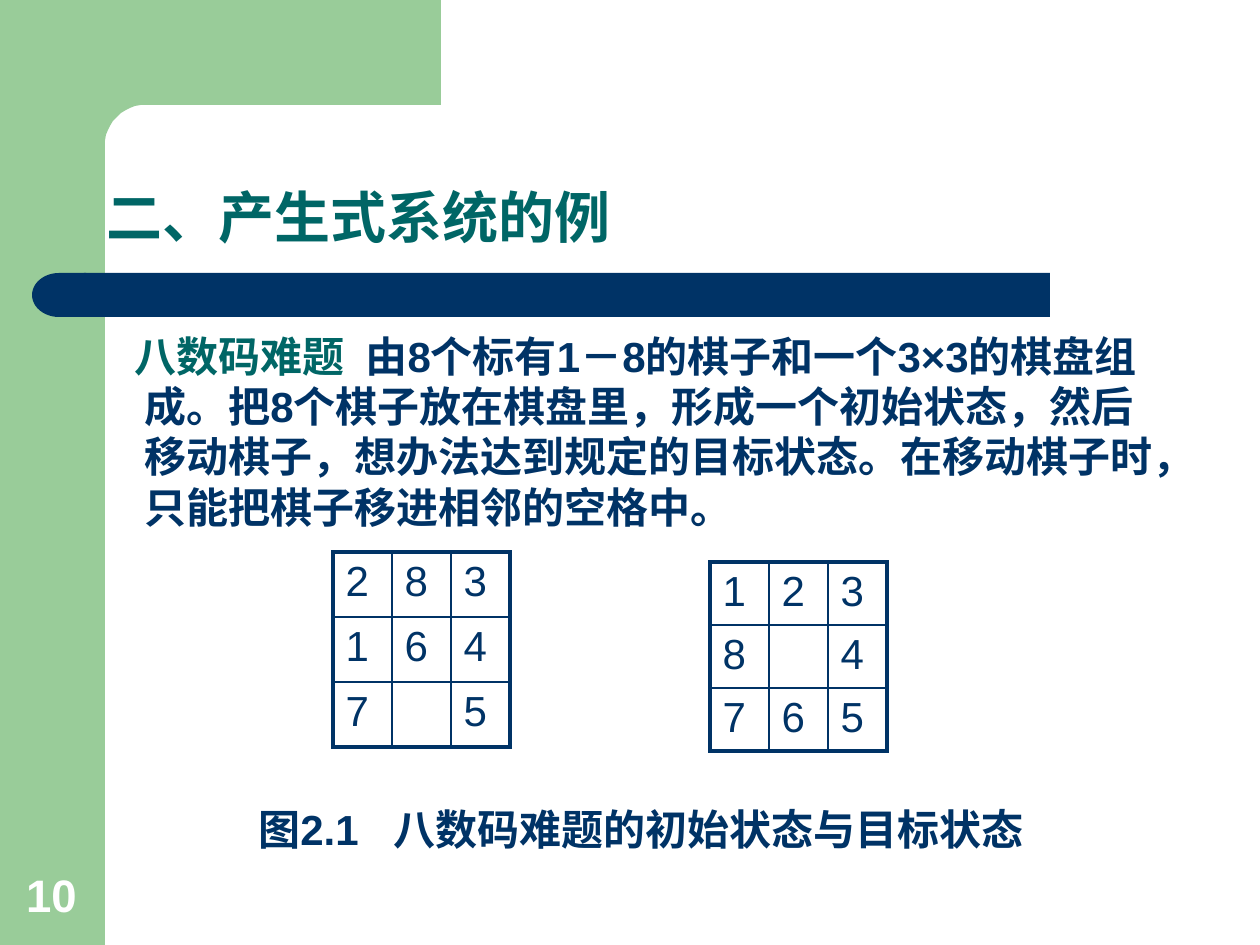
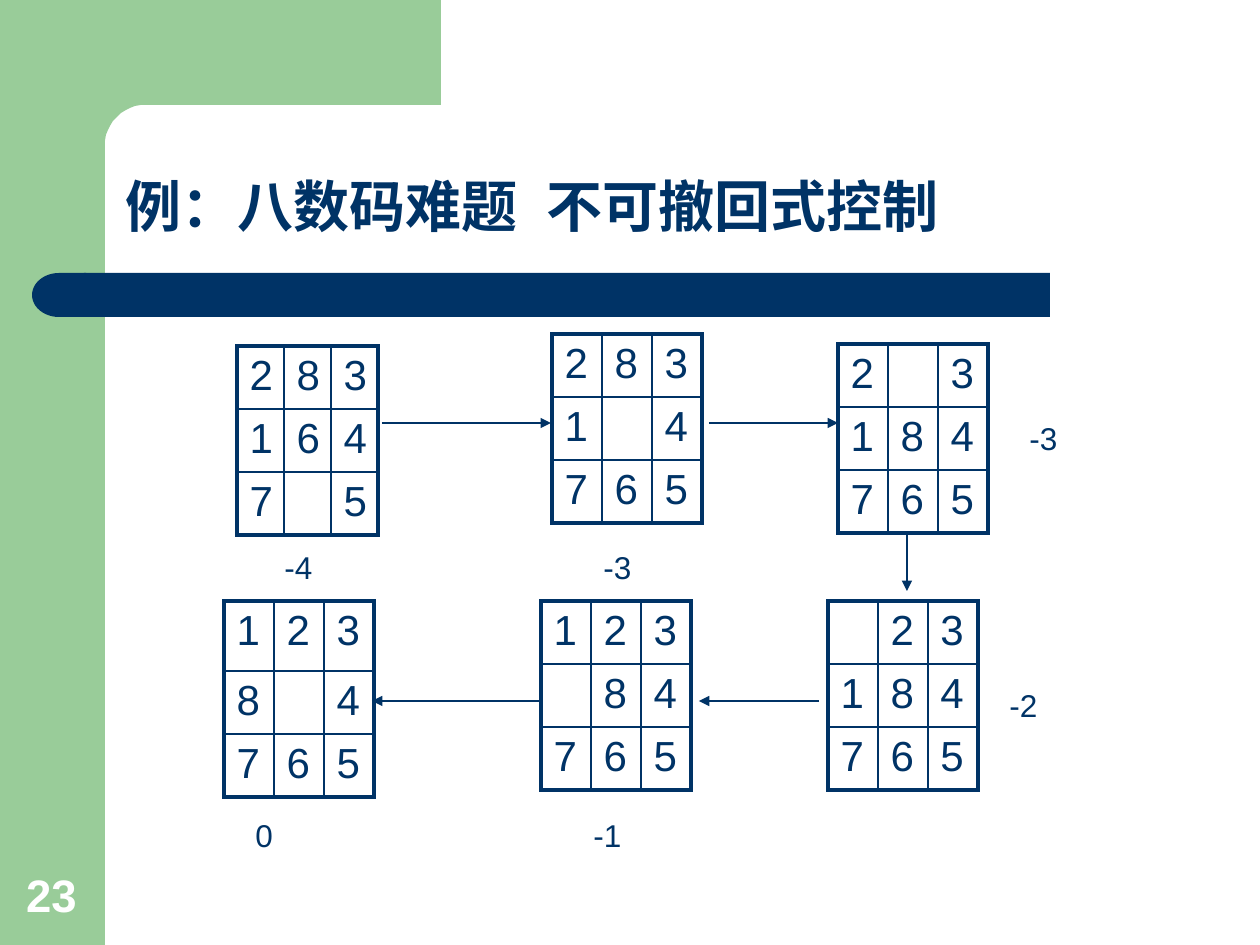
from math import cos, pi, sin

from lxml.etree import SubElement as Sub
from pptx import Presentation
from pptx.dml.color import RGBColor as Rgb
from pptx.enum.shapes import MSO_CONNECTOR as Link, MSO_SHAPE as Kind
from pptx.enum.text import MSO_ANCHOR as Anchor, MSO_AUTO_SIZE as Fit, PP_ALIGN as Align
from pptx.oxml.ns import qn
from pptx.util import Emu, Pt

SCALE = 914400 / 126
NAVY = Rgb(0x00, 0x33, 0x66)
TEAL = Rgb(0x00, 0x66, 0x66)
GREEN = Rgb(0x99, 0xCC, 0x99)
WHITE = Rgb(0xFF, 0xFF, 0xFF)
FONT = "Arial"
TITLE_ONLY = 5

STEPS = [
    ((237, 346), 47, (59, 59, 59), "283" "164" "7 5", "-4", (272, 542)),
    ((552, 334), 50, (59, 59, 59), "283" "1 4" "765", "-3", (591, 542)),
    ((838, 344), 50, (59, 59, 59), "2 3" "184" "765", "-3", (1017, 413)),
    ((828, 601), 50, (59, 59, 59), " 23" "184" "765", "-2", (997, 680)),
    ((541, 601), 50, (59, 59, 59), "123" " 84" "765", "-1", (581, 810)),
    ((224, 601), 50, (70, 59, 59), "123" "8 4" "765", "0", (243, 810)),
]
MOVES = [
    (382, 423, 551, 423),
    (709, 423, 838, 423),
    (907, 532, 907, 591),
    (819, 701, 699, 701),
    (540, 701, 372, 701),
]


def px(*nums):
    """Turn pixel lengths into a list of EMU lengths."""
    return [Emu(round(num * SCALE)) for num in nums]


def style(para, size, color=NAVY, bold=False):
    """Set the font of a whole paragraph."""
    font = para.font
    font.name, font.size, font.bold = FONT, Pt(size), bold
    font.color.rgb = color


def gap(para, size, count):
    """Add one space as wide as the given count of spaces."""
    run = para.add_run()
    run.text = " "
    run.font._element.set("spc", str(round((count - 1) * size * 27.8)))


def add(para, text, color=None):
    """Add a run, with its own color if one is given."""
    run = para.add_run()
    run.text = text
    if color is not None:
        run.font.color.rgb = color


def text_box(slide, box, size, color=NAVY, bold=False):
    """Add a wrapping text box and return its first paragraph."""
    frame = slide.shapes.add_textbox(*px(*box)).text_frame
    frame.word_wrap = True
    para = frame.paragraphs[0]
    style(para, size, color, bold)
    return para, frame


def paint(shape, color):
    """Give a shape a plain fill without line or shadow."""
    shape.shadow.inherit = False
    shape.fill.solid()
    shape.fill.fore_color.rgb = color
    shape.line.fill.background()


def frame_art(slide, page):
    """Draw the green corner, the navy bar and the page number."""
    shapes = slide.shapes
    paint(shapes.add_shape(Kind.RECTANGLE, *px(0, 0, 105, 945)), GREEN)
    turns = [pi / 2 * step / 12 for step in range(13)]
    arc = [(146 - 41 * sin(turn), 146 - 41 * cos(turn)) for turn in turns]
    path = shapes.build_freeform(441, 0, scale=SCALE)
    path.add_line_segments([(441, 105), *arc, (105, 161), (63, 161), (63, 0)])
    paint(path.convert_to_shape(), GREEN)
    paint(shapes.add_shape(Kind.RECTANGLE, *px(84, 273, 966, 44)), NAVY)
    cap = shapes.add_shape(Kind.FLOWCHART_DELAY, *px(32, 273, 54, 44))
    cap.rotation = 180
    paint(cap, NAVY)
    para, frame = text_box(slide, (11, 861, 81, 67), 26, WHITE, True)
    frame.vertical_anchor = Anchor.BOTTOM
    para.alignment = Align.CENTER
    add(para, page)


def head(slide, box, color, anchor, *parts):
    """Place the title placeholder, with a wide gap between its parts."""
    title = slide.shapes.title
    title.left, title.top, title.width, title.height = px(*box)
    frame = title.text_frame
    frame.auto_size, frame.word_wrap = Fit.NONE, True
    frame.vertical_anchor = anchor
    para = frame.paragraphs[0]
    para.alignment = Align.LEFT
    style(para, 32, color, True)
    for place, part in enumerate(parts):
        if place:
            gap(para, 32, 2)
        add(para, part)
    return para


def edge(cell, side, width):
    """Draw one border of a table cell."""
    line = Sub(cell._tc.get_or_add_tcPr(), qn(f"a:ln{side}"), w=str(Pt(width)))
    fill = Sub(line, qn("a:solidFill"))
    Sub(fill, qn("a:srgbClr"), val=str(NAVY))


def board(slide, spot, col, rows, tiles):
    """Draw a puzzle board of three by three tiles."""
    box = (*spot, 3 * col, sum(rows))
    table = slide.shapes.add_table(3, 3, *px(*box)).table
    table.first_row = table.horz_banding = False
    for place in range(3):
        table.columns[place].width, table.rows[place].height = px(col, rows[place])
    for place, tile in enumerate(tiles):
        row, rank = divmod(place, 3)
        cell = table.cell(row, rank)
        outer = {"L": rank == 0, "R": rank == 2, "T": row == 0, "B": row == 2}
        for side, thick in outer.items():
            edge(cell, side, 2.25 if thick else 1)
        cell.fill.background()
        para = cell.text_frame.paragraphs[0]
        style(para, 24)
        if tile != " ":
            add(para, tile)


def arrow(slide, ends):
    """Draw a thin arrow between two points."""
    line = slide.shapes.add_connector(Link.STRAIGHT, *px(*ends))
    line.line.color.rgb = NAVY
    line.line.width = Pt(0.75)
    Sub(line.line._get_or_add_ln(), qn("a:tailEnd"), type="triangle")
    Sub(line._element.spPr, qn("a:effectLst"))


def puzzle(deck):
    """Build the slide that states the puzzle."""
    slide = deck.slides.add_slide(deck.slide_layouts[TITLE_ONLY])
    frame_art(slide, "10")
    para = head(slide, (94, 195, 1022, 62), TEAL, Anchor.BOTTOM, "二、产生式系统的例")
    para.line_spacing = 0.9
    para, _ = text_box(slide, (84, 324, 1081, 215), 24, NAVY, True)
    left, indent = px(48, -10)
    props = para._p.get_or_add_pPr()
    props.set("marL", str(left))
    props.set("indent", str(indent))
    add(para, "八数码难题", TEAL)
    gap(para, 24, 2)
    add(para, "由8个标有1－8的棋子和一个3×3的棋盘组成。把8个棋子放在棋盘里，"
              "形成一个初始状态，然后移动棋子，想办法达到规定的目标状态。"
              "在移动棋子时，只能把棋子移进相邻的空格中。")
    board(slide, (333, 552), 59, (65, 65, 65), "283" "164" "7 5")
    board(slide, (710, 562), 59, (59, 59, 59), "123" "8 4" "765")
    para, _ = text_box(slide, (246, 797, 880, 63), 24, NAVY, True)
    add(para, "图2.1")
    gap(para, 24, 3)
    add(para, "八数码难题的初始状态与目标状态")


def search(deck):
    """Build the slide that shows the moves to the goal."""
    slide = deck.slides.add_slide(deck.slide_layouts[TITLE_ONLY])
    frame_art(slide, "23")
    head(slide, (113, 165, 942, 79), NAVY, Anchor.TOP, "例：八数码难题", "不可撤回式控制")
    for spot, col, rows, tiles, score, where in STEPS:
        board(slide, spot, col, rows, tiles)
        para, _ = text_box(slide, (*where, 69, 50), 18)
        add(para, score)
    for ends in MOVES:
        arrow(slide, ends)


def main():
    """Build and save the deck."""
    deck = Presentation()
    deck.slide_width, deck.slide_height = px(1260, 945)
    puzzle(deck)
    search(deck)
    deck.save("out.pptx")


if __name__ == "__main__":
    main()
